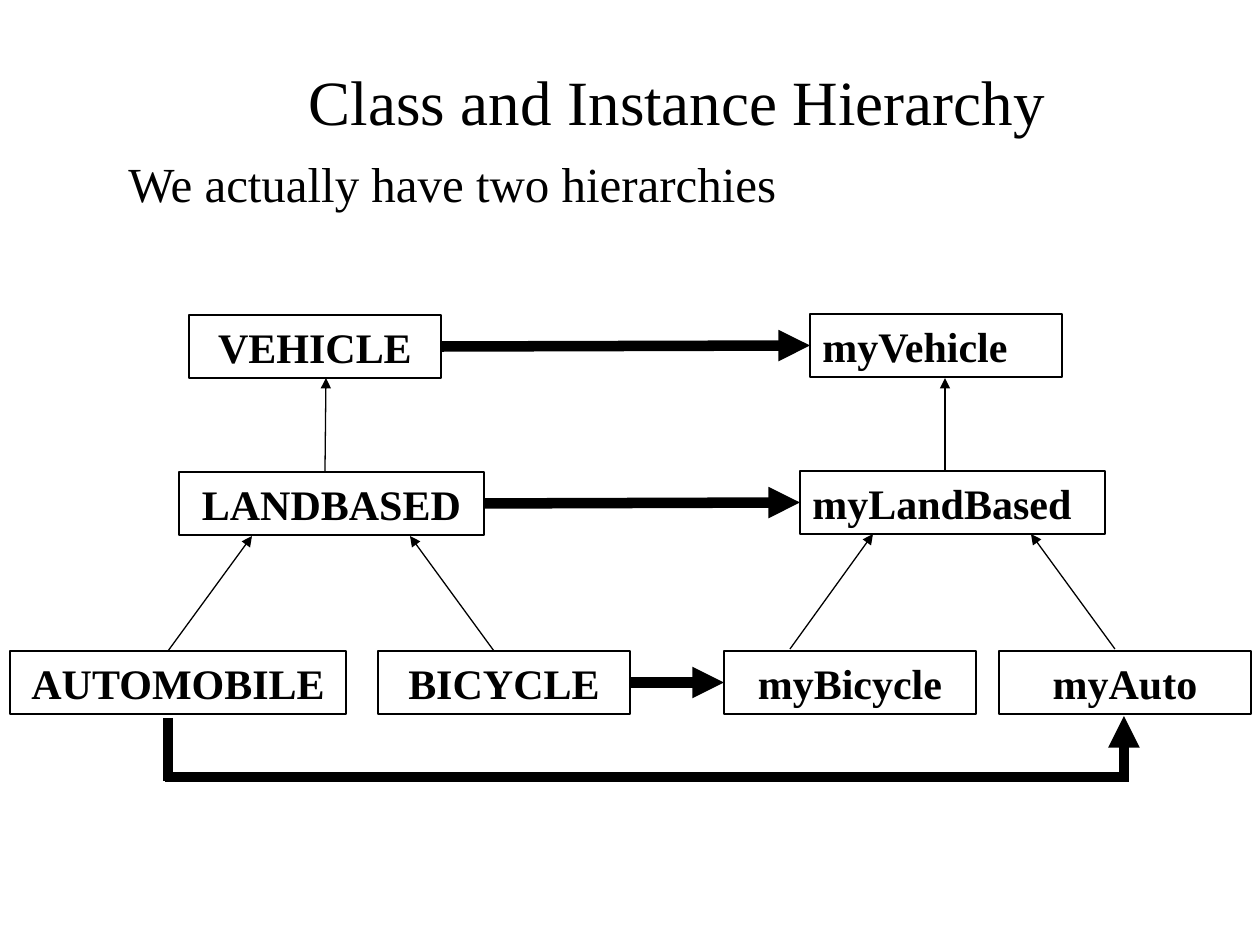
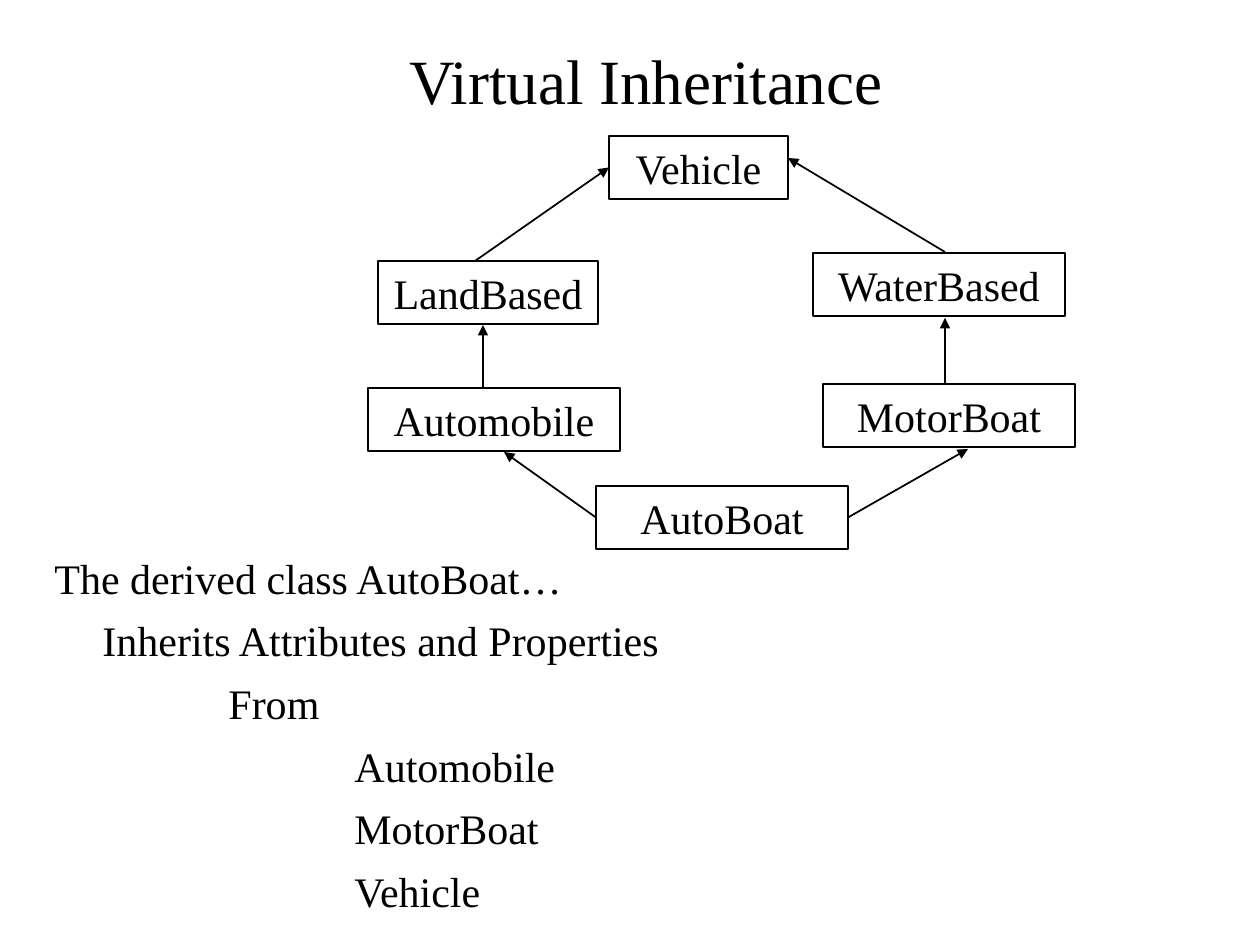
from dataclasses import dataclass

from lxml import etree
from pptx import Presentation
from pptx.dml.color import RGBColor
from pptx.enum.shapes import MSO_CONNECTOR, MSO_SHAPE
from pptx.enum.text import MSO_ANCHOR, PP_ALIGN
from pptx.oxml.ns import qn
from pptx.util import Pt

PX = 914400 / 126
STRAIGHT = MSO_CONNECTOR.STRAIGHT
RECT = MSO_SHAPE.RECTANGLE
TOP, MIDDLE = MSO_ANCHOR.TOP, MSO_ANCHOR.MIDDLE
LEFT, CENTER = PP_ALIGN.LEFT, PP_ALIGN.CENTER
LEFT_SIDE, RIGHT_SIDE = 1, 3


@dataclass(frozen=True)
class Theme:
    font: str = "Times New Roman"
    ink: RGBColor = RGBColor(0, 0, 0)
    paper: RGBColor = RGBColor(255, 255, 255)
    title: int = 36
    lead: int = 28
    text: int = 24
    space: int = 7
    hairline: float = 0.75
    thin: float = 1
    thick: float = 6
    box_height: int = 63


def px(*lengths):
    return [round(n * PX) for n in lengths]


class Deck:
    def __init__(self, theme):
        self.t = theme
        self.prs = Presentation()
        self.prs.slide_width, self.prs.slide_height = px(1260, 945)

    def slide(self, title, x, y):
        self.s = self.prs.slides.add_slide(self.prs.slide_layouts[6])
        self.s.background.fill.solid()
        self.s.background.fill.fore_color.rgb = self.t.paper
        self.text((x, y, 1166, 94), [(title, 0)], self.t.title, CENTER, MIDDLE)

    def style(self, p, size, align, bold=False):
        p.alignment = align
        p.font.name = self.t.font
        p.font.size = Pt(size)
        p.font.bold = bold
        p.font.color.rgb = self.t.ink

    def text(self, frame, lines, size, align=LEFT, anchor=TOP):
        tf = self.s.shapes.add_textbox(*px(*frame)).text_frame
        tf.word_wrap = True
        tf.vertical_anchor = anchor
        for i, (line, indent) in enumerate(lines):
            p = tf.add_paragraph() if i else tf.paragraphs[0]
            p.text = line
            if i:
                p.space_before = Pt(self.t.space)
            if indent:
                p._p.get_or_add_pPr().set("marL", str(px(indent)[0]))
            self.style(p, size, align)

    def box(self, label, x, y, w, bold=False, align=CENTER, filled=False):
        sp = self.s.shapes.add_shape(RECT, *px(x, y, w, self.t.box_height))
        sp.shadow.inherit = False
        if filled:
            sp.fill.solid()
            sp.fill.fore_color.rgb = self.t.paper
        else:
            sp.fill.background()
        sp.line.color.rgb = self.t.ink
        sp.line.width = Pt(self.t.hairline)
        tf = sp.text_frame
        tf.word_wrap = True
        tf.vertical_anchor = MIDDLE
        tf.text = label
        self.style(tf.paragraphs[0], self.t.text, align, bold)
        return sp

    def line(self, start, end, width, arrow=True):
        ends = [(0, 0) if hasattr(e[0], "text_frame") else e for e in (start, end)]
        c = self.s.shapes.add_connector(STRAIGHT, *px(*ends[0], *ends[1]))
        if ends[0] != start:
            c.begin_connect(*start)
        if ends[1] != end:
            c.end_connect(*end)
        c.line.color.rgb = self.t.ink
        c.line.width = Pt(width)
        if arrow:
            etree.SubElement(c.line._get_or_add_ln(), qn("a:tailEnd"), type="triangle")
        etree.SubElement(c._element.spPr, qn("a:effectLst"))


def class_and_instance(d):
    t = d.t
    d.slide("Class and Instance Hierarchy", 94, 53)
    d.text((116, 147, 1061, 168), [("We actually have two hierarchies", 0)], t.lead)

    d.box("AUTOMOBILE", 10, 651, 336, True, filled=True)
    bicycle = d.box("BICYCLE", 378, 651, 252, True, filled=True)
    land = d.box("LANDBASED", 179, 472, 305, True)
    vehicle = d.box("VEHICLE", 189, 315, 252, True)
    d.box("myAuto", 999, 651, 252, True, filled=True)
    my_bicycle = d.box("myBicycle", 724, 651, 252, True, filled=True)
    my_land = d.box("myLandBased", 800, 471, 305, True, LEFT)
    my_vehicle = d.box("myVehicle", 810, 314, 252, True, LEFT)

    for start, end in [
        ((168, 651), (252, 536)),
        ((494, 651), (410, 536)),
        ((325, 472), (326, 378)),
        ((790, 649), (873, 534)),
        ((1115, 649), (1031, 534)),
        ((945, 471), (945, 378)),
    ]:
        d.line(start, end, t.hairline)

    for cls, instance in [(vehicle, my_vehicle), (land, my_land), (bicycle, my_bicycle)]:
        d.line((cls, RIGHT_SIDE), (instance, LEFT_SIDE), t.thick)
    d.line((168, 718), (168, 781), t.thick, arrow=False)
    d.line((165, 777), (1128, 777), t.thick, arrow=False)
    d.line((1124, 782), (1124, 716), t.thick)


def virtual_inheritance(d):
    t = d.t
    d.slide("Virtual Inheritance", 63, 32)
    d.text((42, 546, 1155, 399), [
        ("The derived class AutoBoat…", 0),
        ("Inherits Attributes and Properties", 48),
        ("From", 174),
        ("Automobile", 300),
        ("MotorBoat", 300),
        ("Vehicle", 300),
    ], t.text)

    vehicle = d.box("Vehicle", 609, 136, 179)
    d.box("LandBased", 378, 261, 220)
    d.box("WaterBased", 813, 253, 252)
    d.box("Automobile", 368, 388, 252)
    d.box("MotorBoat", 823, 384, 252)
    auto_boat = d.box("AutoBoat", 596, 486, 252)

    for start, end in [
        ((auto_boat, LEFT_SIDE), (504, 452)),
        ((auto_boat, RIGHT_SIDE), (968, 449)),
        ((483, 388), (483, 325)),
        ((945, 383), (945, 318)),
        ((475, 261), (vehicle, LEFT_SIDE)),
        ((945, 252), (788, 158)),
    ]:
        d.line(start, end, t.thin)


def main():
    d = Deck(Theme())
    class_and_instance(d)
    virtual_inheritance(d)
    d.prs.save("out.pptx")


if __name__ == "__main__":
    main()
